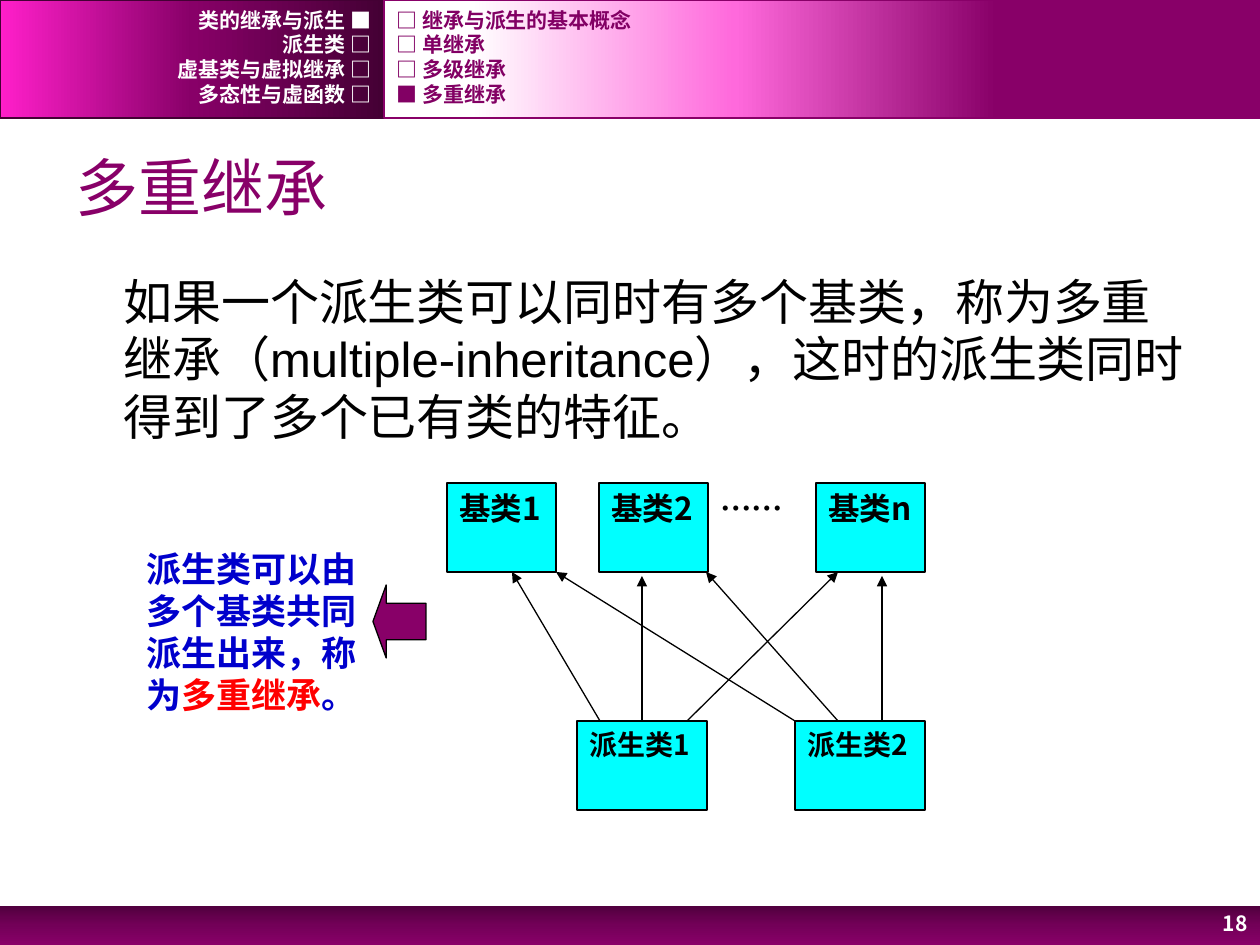
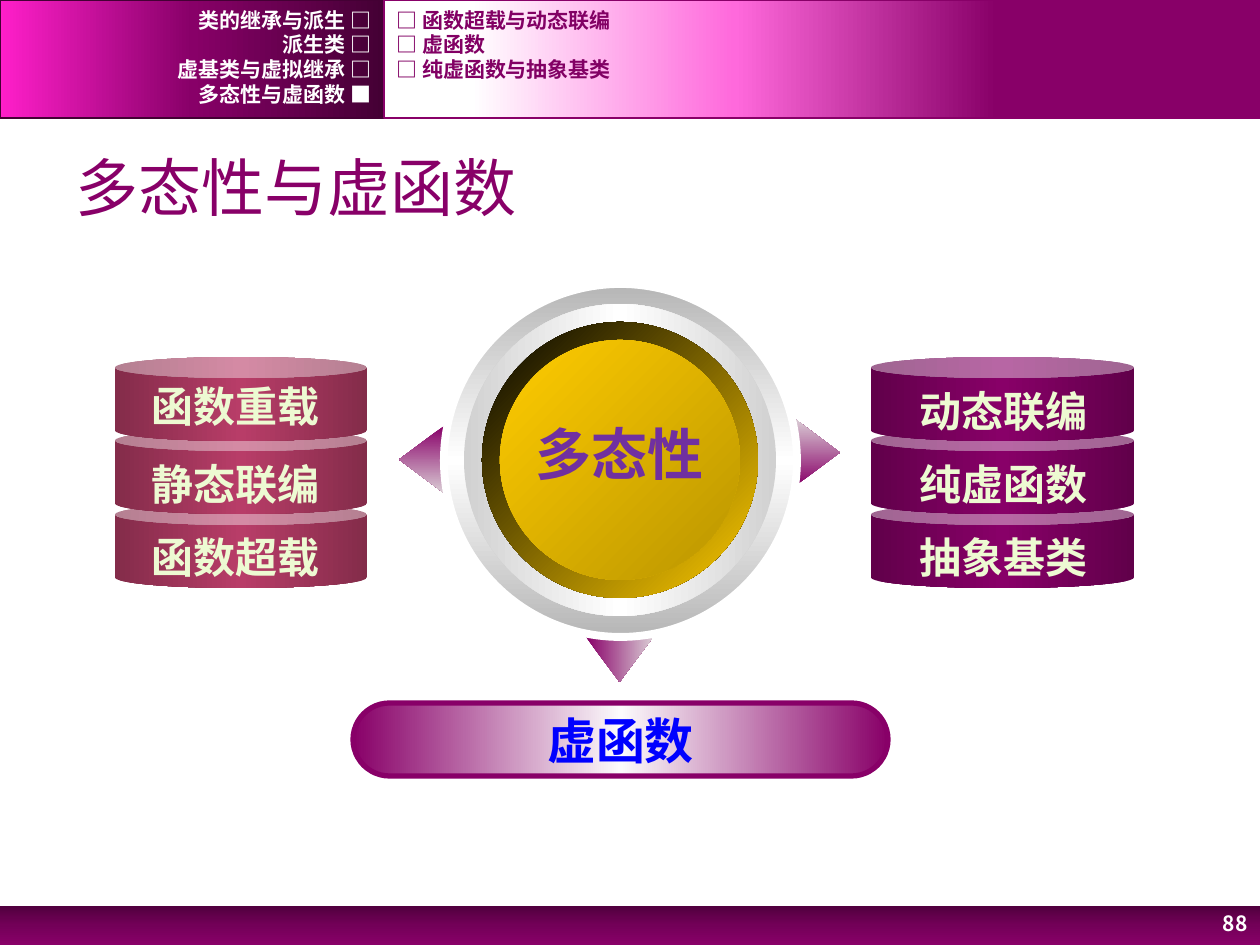
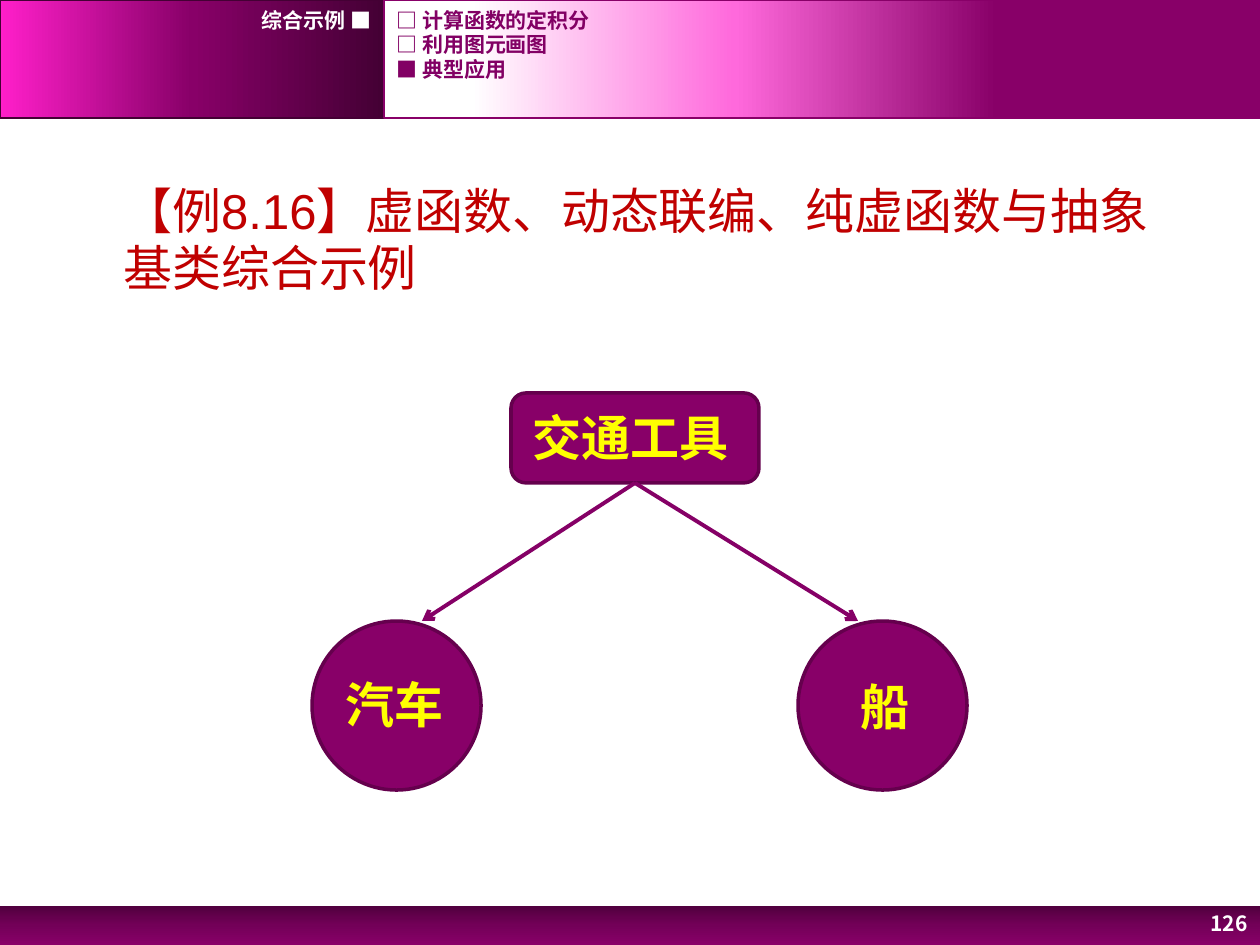
from lxml import etree
from pptx import Presentation, util as u
from pptx.dml.color import RGBColor
from pptx.enum import shapes, text
from pptx.oxml.ns import qn

EMU_PER_PX = 914400 / 126
KIND = shapes.MSO_SHAPE
LEFT, CENTER, RIGHT, JUSTIFY = (
    text.PP_ALIGN.LEFT, text.PP_ALIGN.CENTER, text.PP_ALIGN.RIGHT, text.PP_ALIGN.JUSTIFY)
TOP, MIDDLE = text.MSO_ANCHOR.TOP, text.MSO_ANCHOR.MIDDLE
CJK, ARIAL, COURIER = "Noto Sans CJK SC", "Arial", "Courier New"

COLORS = {
    "purple": "880068", "deep": "440034", "edge": "65004D", "line": "850066",
    "nav": "820064", "white": "FFFFFF", "black": "000000", "cyan": "00FFFF",
    "blue": "0000CC", "bright blue": "0000FF", "red": "FF0000", "dark red": "C00000",
    "violet": "7030A0", "lime": "EDFAD2", "yellow": "FFFF00",
}

# Gradients: angle (clockwise), then (position, colour) stops
FOOTER = (90, (0, "51003E"), (50, "730058"), (100, "880068"))
LEFT_BAND = (180, (0, "440034"), (50, "880068"), (100, "FF1FCA"))
RIGHT_BAND = (180, (30, "880068"), (60, "FF69DC"), (90, "FFFFFF"))
ARROW = (0, (0, "880068"), (100, "DACDD5"))
OUTER_RING = (90, (0, "B6B6B6"), (50, "FFFFFF"), (100, "B6B6B6"))
INNER_RING = (0, (0, "D1D1D1"), (50, "FFFFFF"), (100, "D1D1D1"))
GOLD_RIM = (45, (0, "000000"), (100, "FFCC00"))
GOLD_FACE = (45, (0, "FFCC00"), (100, "BA9500"))
ROSE_CAN = (0, (0, "842C4A"), (50, "B83D68"), (100, "842C4A"))
PURPLE_CAN = (0, (0, "61004A"), (50, "880068"), (100, "61004A"))
PILL = (0, (0, "880068"), (50, "FCFBFC"), (100, "880068"))

CHAPTER = ["类的继承与派生", "派生类", "虚基类与虚拟继承", "多态性与虚函数"]


def px(*lengths):
    return [u.Emu(round(length * EMU_PER_PX)) for length in lengths]


def rgb(name):
    return RGBColor.from_string(COLORS[name])


def set_gradient(shape, gradient):
    angle, *stops = gradient
    shape.fill.gradient()
    grad_fill = shape.element.spPr.find(qn("a:gradFill"))
    stop_list = grad_fill.find(qn("a:gsLst"))
    for old_stop in list(stop_list):
        stop_list.remove(old_stop)
    for position, color in stops:
        stop = etree.SubElement(stop_list, qn("a:gs"), pos=str(position * 1000))
        etree.SubElement(stop, qn("a:srgbClr"), val=color)
    grad_fill.find(qn("a:lin")).set("ang", str(angle * 60000))


def add_shape(slide, kind, box, fill, line=None, width=0.75, adjust=()):
    shape = slide.shapes.add_shape(kind, *px(*box))
    shape.shadow.inherit = False
    if isinstance(fill, tuple):
        set_gradient(shape, fill)
    else:
        shape.fill.solid()
        shape.fill.fore_color.rgb = rgb(fill)
    if line:
        shape.line.color.rgb = rgb(line)
        shape.line.width = u.Pt(width)
    else:
        shape.line.fill.background()
    for index, value in enumerate(adjust):
        shape.adjustments[index] = value
    return shape


def write(shape, runs, size, color, font=CJK, bold=True, align=LEFT,
          anchor=MIDDLE, wrap=True, spacing=None):
    """Fill a shape with one paragraph; runs is a string or (text, colour) pairs."""
    frame = shape.text_frame
    frame.word_wrap = wrap
    frame.vertical_anchor = anchor
    paragraph = frame.paragraphs[0]
    paragraph.alignment = align
    if spacing:
        paragraph.line_spacing = u.Pt(spacing)
    paragraph.font.size = u.Pt(size)
    paragraph.font.bold = bold
    paragraph.font.name = font
    if isinstance(runs, str):
        paragraph.font.color.rgb = rgb(color)
        runs = [(runs, color)]
    for words, run_color in runs:
        run = paragraph.add_run()
        run.text = words
        run.font.color.rgb = rgb(run_color)
    for properties in shape.element.iter(qn("a:defRPr")):
        etree.SubElement(properties, qn("a:ea"), typeface=CJK)
    return paragraph


def add_text(slide, box, runs, size, color, **style):
    return write(slide.shapes.add_textbox(*px(*box)), runs, size, color, **style)


def add_body(slide, top, height, words, color):
    paragraph = add_text(slide, (63, top, 1134, height), words, 28, color,
                         font=ARIAL, bold=False, anchor=TOP, spacing=33)
    paragraph.space_before = u.Pt(4)
    paragraph_properties = next(slide.shapes[-1].element.iter(qn("a:pPr")))
    paragraph_properties.set("marL", str(px(48)[0]))


def add_arrow(slide, start, end, color, width, head, source=None, side=0):
    connector = slide.shapes.add_connector(
        shapes.MSO_CONNECTOR.STRAIGHT, *px(*start, *end))
    if source is not None:
        connector.begin_connect(source, side)
    connector.line.color.rgb = rgb(color)
    connector.line.width = u.Pt(width)
    properties = connector.element.spPr
    etree.SubElement(properties.find(qn("a:ln")), qn("a:tailEnd"), type=head)
    etree.SubElement(properties, qn("a:effectLst"))


def add_navigation(slide, box, lines, color, align):
    left, width = box
    for row, line in enumerate(lines):
        add_text(slide, (left, 8 + 74 * row // 3, width, 25), line, 12, color,
                 font=COURIER, align=align)


def mark(active):
    return "■" if active else "□"


def start_slide(presentation, number, chapters, chapter, sections, section=None, title=None):
    """Add a slide with bands, navigation, page number and an optional title."""
    slide = presentation.slides.add_slide(presentation.slide_layouts[5 if title else 6])
    add_shape(slide, KIND.RECTANGLE, (0, 906, 1260, 39), FOOTER)
    add_shape(slide, KIND.RECTANGLE, (0, 0, 384, 118), LEFT_BAND, "deep", 1)
    add_shape(slide, KIND.RECTANGLE, (384, 0, 876, 118), RIGHT_BAND, "purple", 1)
    add_navigation(slide, (0, 384), [f"{name} {mark(name == chapter)}" for name in chapters],
                   "white", RIGHT)
    add_navigation(slide, (384, 759), [f"{mark(name == section)} {name}" for name in sections],
                   "nav", LEFT)
    add_text(slide, (1157, 902, 103, 43), number, 12, "white", align=RIGHT)
    if title:
        heading = slide.shapes.title
        heading.left, heading.top, heading.width, heading.height = px(63, 137, 1134, 98)
        write(heading, title, 36, "purple", font=ARIAL, bold=False)
    return slide


def add_class_box(slide, box, label, size):
    shape = add_shape(slide, KIND.RECTANGLE, box, "cyan", "black")
    write(shape, label, size, "black", align=JUSTIFY, anchor=TOP, spacing=size * 1.2)
    return shape


def build_multiple_inheritance(presentation):
    slide = start_slide(
        presentation, "18", CHAPTER, "类的继承与派生",
        ["继承与派生的基本概念", "单继承", "多级继承", "多重继承"], "多重继承", "多重继承")
    add_body(slide, 266, 620, "如果一个派生类可以同时有多个基类，称为多重继承"
             "（multiple-inheritance），这时的派生类同时得到了多个已有类的特征。", "black")

    # Base classes above, derived classes below
    for left, label in ((447, "基类1"), (599, "基类2"), (816, "基类n")):
        add_class_box(slide, (left, 483, 109, 89), label, 18)
    add_text(slide, (708, 483, 108, 89), "……", 18, "black", align=JUSTIFY,
             anchor=TOP, spacing=21.6)
    first = add_class_box(slide, (577, 721, 130, 89), "派生类1", 16)
    add_class_box(slide, (795, 721, 130, 89), "派生类2", 16)

    # Inheritance arrows: start x, end x, end y
    add_arrow(slide, (642, 721), (642, 576), "black", 0.75, "triangle", first, 0)
    for start, end, bottom in ((600, 512, 572), (687, 838, 572), (795, 556, 572),
                               (838, 706, 572), (882, 882, 576)):
        add_arrow(slide, (start, 721), (end, bottom), "black", 0.75, "triangle")

    # Side note
    add_text(slide, (134, 541, 247, 183),
             [("派生类可以由多个基类共同派生出来，称为", "blue"), ("多重继承", "red"),
              ("。", "blue")], 20, None, anchor=TOP, spacing=24)
    add_shape(slide, KIND.LEFT_ARROW, (373, 585, 53, 73), "purple", "black",
              adjust=(0.5, 0.25))


def add_can_stack(slide, left, width, fill, text_left, labels):
    for row in (2, 1, 0):
        add_shape(slide, KIND.CAN, (left, 357 + 147 * row // 2, width, 84), fill, adjust=(0.25,))
    for top, label in labels:
        add_text(slide, (text_left, top, 197, 63), label, 24, "lime", align=CENTER, wrap=False)


def build_polymorphism(presentation):
    slide = start_slide(
        presentation, "88", CHAPTER, "多态性与虚函数",
        ["函数超载与动态联编", "虚函数", "纯虚函数与抽象基类"], title="多态性与虚函数")

    # Pointers around the dial
    for left, top, rotation in ((388, 437, 270), (784, 430, 90), (586, 637, 180)):
        pointer = add_shape(slide, KIND.UP_ARROW, (left, top, 67, 45), ARROW, adjust=(0.52, 1))
        pointer.rotation = rotation
        pointer.element.spPr.xfrm.set("flipH", "1")

    # Dial, from the outer ring inwards
    add_shape(slide, KIND.OVAL, (444, 284, 353, 353), OUTER_RING, "white", 4.5)
    for left, top, size, fill in ((464, 304, 312, INNER_RING), (482, 322, 276, GOLD_RIM),
                                  (500, 340, 240, GOLD_FACE)):
        add_shape(slide, KIND.OVAL, (left, top, size, size), fill)
    add_text(slide, (522, 413, 195, 81), "多态性", 32, "violet", align=CENTER, wrap=False)

    add_can_stack(slide, 115, 252, ROSE_CAN, 137,
                  ((374, "函数重载"), (452, "静态联编"), (525, "函数超载")))
    add_can_stack(slide, 871, 263, PURPLE_CAN, 905,
                  ((379, "动态联编"), (452, "纯虚函数"), (525, "抽象基类")))

    pill = add_shape(slide, KIND.ROUNDED_RECTANGLE, (353, 703, 535, 73), PILL, "purple", 3, (0.5,))
    write(pill, "虚函数", 28, "bright blue", align=CENTER, wrap=False)


def build_example(presentation):
    slide = start_slide(
        presentation, "126", ["综合示例"], "综合示例",
        ["计算函数的定积分", "利用图元画图", "典型应用"], "典型应用")
    add_body(slide, 175, 711, "【例8.16】虚函数、动态联编、纯虚函数与抽象基类综合示例", "dark red")

    # Class tree
    vehicle = add_shape(slide, KIND.ROUNDED_RECTANGLE, (511, 393, 248, 90), "purple", "edge", 2)
    for left in (312, 798):
        add_shape(slide, KIND.OVAL, (left, 621, 169, 169), "purple", "edge", 2)
    for box, label in (((333, 668, 129, 72), "汽车"), ((848, 670, 79, 72), "船"),
                       ((520, 401, 228, 72), "交通工具")):
        add_text(slide, box, label, 28, "yellow", font=ARIAL)
    for end in (422, 858):
        add_arrow(slide, (635, 483), (end, 621), "line", 2.25, "arrow", vehicle, 2)


def main():
    presentation = Presentation()
    presentation.slide_width, presentation.slide_height = px(1260, 945)
    build_multiple_inheritance(presentation)
    build_polymorphism(presentation)
    build_example(presentation)
    presentation.save("out.pptx")


if __name__ == "__main__":
    main()
